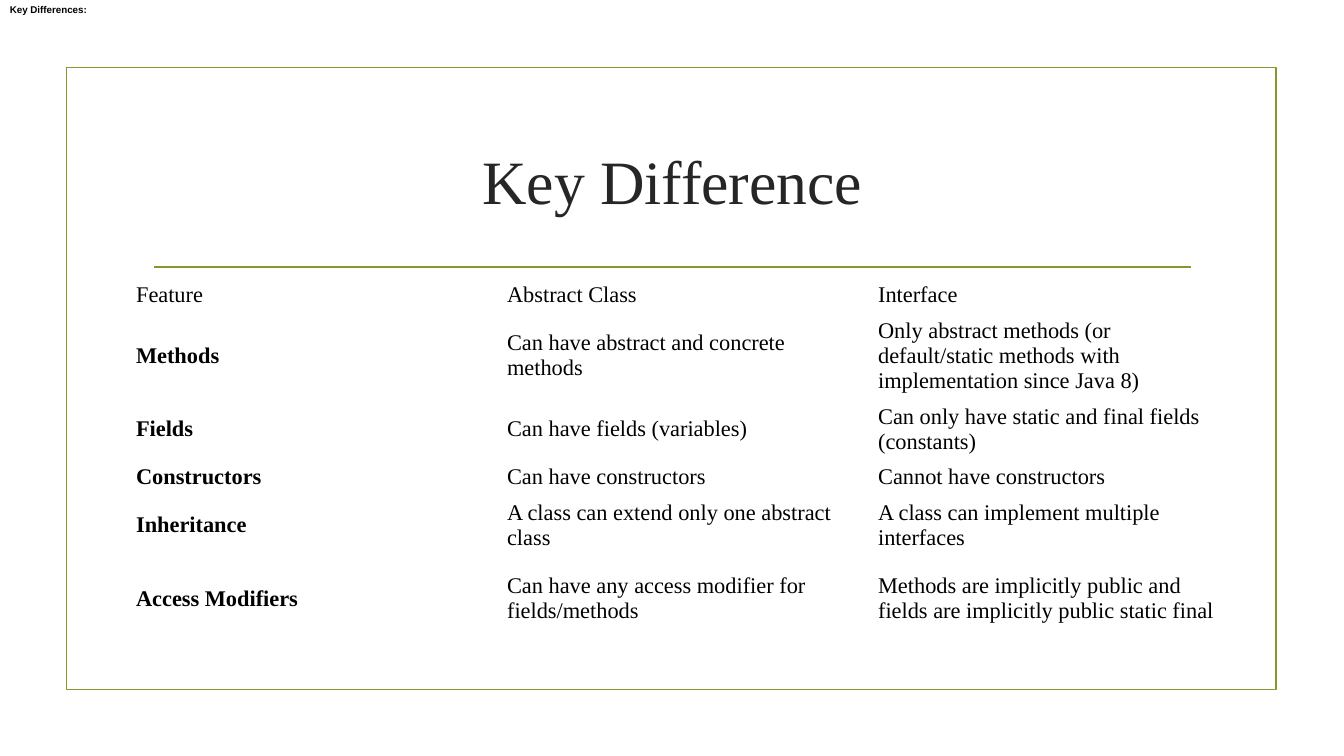
from lxml.etree import SubElement
from pptx import Presentation
from pptx.dml.color import RGBColor
from pptx.enum.shapes import MSO_CONNECTOR, MSO_SHAPE
from pptx.enum.text import MSO_ANCHOR, PP_ALIGN
from pptx.oxml.ns import qn
from pptx.util import Inches, Pt

GREEN = RGBColor(0x83, 0x99, 0x2A)
DARK = RGBColor(0x26, 0x26, 0x26)
BLACK = RGBColor(0, 0, 0)
SERIF = "Times New Roman"


def style(para, name, size, color, bold=False):
    font = para.font
    looks = {"name": name, "size": Pt(size), "bold": bold}
    for key, value in looks.items():
        setattr(font, key, value)
    font.color.rgb = color


deck = Presentation()
deck.slide_width, deck.slide_height = Inches(13.33), Inches(7.5)
slide = deck.slides.add_slide(deck.slide_layouts[5])
shapes = slide.shapes

# Frame and rule under the title
frame = shapes.add_shape(MSO_SHAPE.RECTANGLE, Inches(0.66), Inches(0.67),
                         Inches(12), Inches(6.17))
frame.shadow.inherit = False
frame.fill.background()
rule = shapes.add_connector(MSO_CONNECTOR.STRAIGHT, Inches(1.53), Inches(2.65),
                            Inches(11.81), Inches(2.65))
SubElement(rule._element.spPr, qn("a:effectLst"))
for part in (frame, rule):
    part.line.color.rgb = GREEN
    part.line.width = Pt(1.25)

# Title
title = shapes.title
title.left, title.top = Inches(1.42), Inches(1.07)
title.width, title.height = Inches(10.5), Inches(1.43)
title.text_frame.text = "Key Difference"
title.text_frame.vertical_anchor = MSO_ANCHOR.MIDDLE
head = title.text_frame.paragraphs[0]
head.alignment = PP_ALIGN.CENTER
style(head, SERIF, 44, DARK)

# Comparison table: row height, then its cells
rows = [
    (0.35, "Feature", "Abstract Class", "Interface"),
    (0.86, "Methods", "Can have abstract and concrete methods",
     "Only abstract methods (or default/static methods with implementation since Java 8)"),
    (0.6, "Fields", "Can have fields (variables)",
     "Can only have static and final fields (constants)"),
    (0.35, "Constructors", "Can have constructors", "Cannot have constructors"),
    (0.6, "Inheritance", "A class can extend only one abstract class",
     "A class can implement multiple interfaces"),
    (0.86, "Access Modifiers", "Can have any access modifier for fields/methods",
     "Methods are implicitly public and fields are implicitly public static final"),
]
table = shapes.add_table(len(rows), 3, Inches(1.26), Inches(2.75),
                         Inches(11.04), Inches(3.7)).table
table.first_row = table.horz_banding = False
for col in table.columns:
    col.width = Inches(3.68)
box = {"margin_left": Inches(0.09), "margin_right": Inches(0.09),
       "margin_top": Inches(0.04), "margin_bottom": Inches(0.04),
       "vertical_anchor": MSO_ANCHOR.MIDDLE}
for r, (height, *texts) in enumerate(rows):
    table.rows[r].height = Inches(height)
    for c, text in enumerate(texts):
        cell = table.cell(r, c)
        cell.text = text
        cell.fill.background()
        for key, value in box.items():
            setattr(cell, key, value)
        style(cell.text_frame.paragraphs[0], SERIF, 16, BLACK, r > 0 and c == 0)

# Small label in the top corner
label = shapes.add_textbox(0, 0, Inches(13.33), Inches(0.5)).text_frame
label.word_wrap = True
label.vertical_anchor = MSO_ANCHOR.TOP
label.margin_top = Inches(0.04)
label.text = "Key Differences:"
style(label.paragraphs[0], "Arial", 7, BLACK, True)

deck.save("out.pptx")
